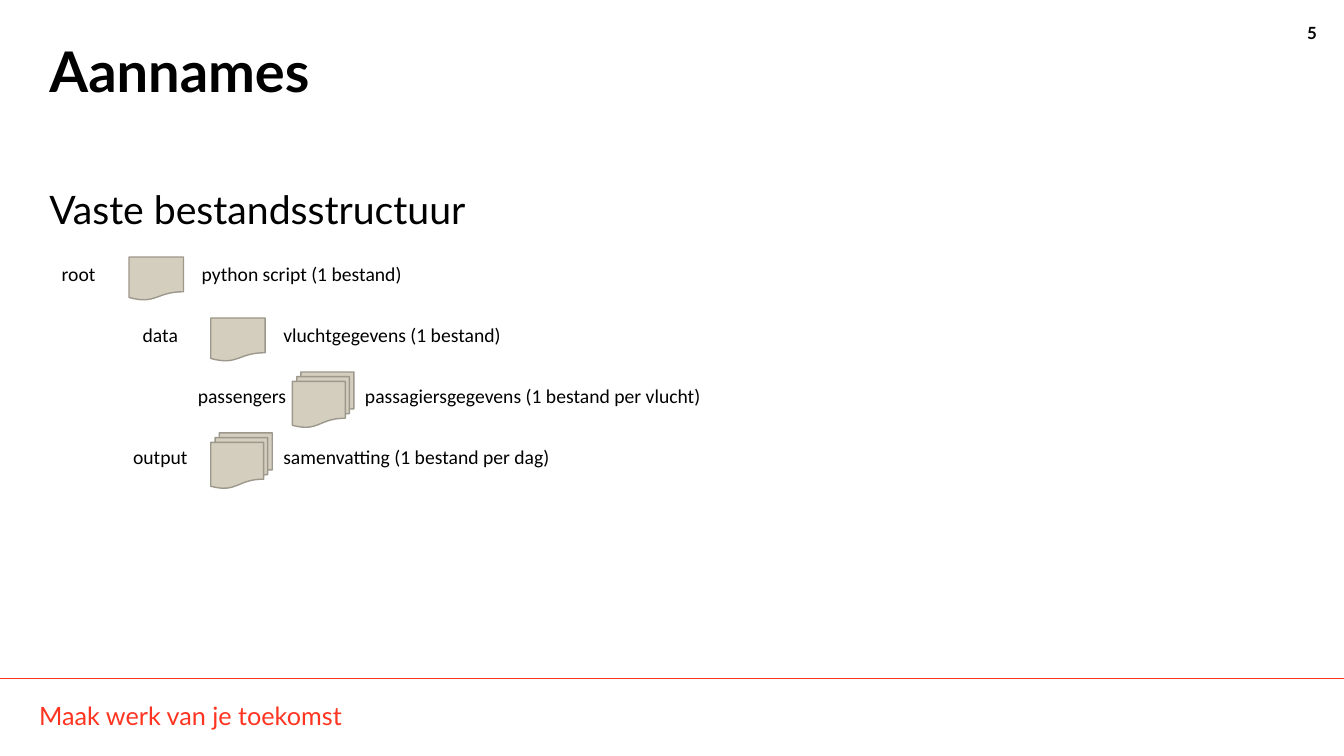
import pptx
import pptx.util
import pptx.dml.color
import pptx.enum.shapes
import pptx.enum.text
from lxml import etree

Inches = pptx.util.Inches
SHAPE = pptx.enum.shapes.MSO_SHAPE
ALIGN = pptx.enum.text.PP_ALIGN
ANCHOR = pptx.enum.text.MSO_ANCHOR

TITLE = "Aannames"
SUBTITLE = "Vaste bestandsstructuur"
FOOTER = "Maak werk van je toekomst"
PAGE = "5"
# folder, depth, several files, caption, label width, caption width
FOLDERS = [
    ("root", 0, False, "python script (1 bestand)", 0.61, 2.34),
    ("data", 1, False, "vluchtgegevens (1 bestand)", 0.61, 2.34),
    ("passengers", 2, True, "passagiersgegevens (1 bestand per vlucht)", 1, 3.74),
    ("output", 1, True, "samenvatting (1 bestand per dag)", 0.61, 3.74),
]
COLORS = {"text": "000000", "accent": "FF3521", "file": "D3CEBD", "edge": "9C988C"}

ICON_LEFT, INDENT = 1.28, 0.81
TREE_TOP, ROW_STEP = 2.55, 0.605
ROW_H = 0.34


def rgb(name):
    return pptx.dml.color.RGBColor.from_string(COLORS[name])


def write(s, text, size, font="Lato", color="text", bold=False, align=ALIGN.LEFT,
          anchor=ANCHOR.TOP, left=0.1, right=0.1, spacing=1.0):
    tf = s.text_frame
    tf.word_wrap = True
    tf.auto_size = pptx.enum.text.MSO_AUTO_SIZE.NONE
    tf.vertical_anchor = anchor
    tf.margin_left, tf.margin_right = Inches(left), Inches(right)
    tf.margin_top = tf.margin_bottom = Inches(0.05)
    p = tf.paragraphs[0]
    p.alignment, p.line_spacing = align, spacing
    r = p.add_run()
    r.text = text
    r.font.size, r.font.name, r.font.bold = pptx.util.Pt(size), font, bold
    r.font.color.rgb = rgb(color)


def add_text(slide, box, text, size, **fmt):
    write(slide.shapes.add_textbox(*map(Inches, box)), text, size, **fmt)


def add_folder(slide, row, folder):
    name, depth, several, caption, label_w, caption_w = folder
    x = ICON_LEFT + depth * INDENT
    y = TREE_TOP + row * ROW_STEP
    if several:
        kind, box = SHAPE.FLOWCHART_MULTIDOCUMENT, (x, y - 0.07, 0.61, 0.55)
    else:
        kind, box = SHAPE.FLOWCHART_DOCUMENT, (x, y, 0.54, 0.43)
    s = slide.shapes.add_shape(kind, *map(Inches, box))
    s.shadow.inherit = False
    s.fill.solid()
    s.fill.fore_color.rgb = rgb("file")
    s.line.color.rgb = rgb("edge")
    s.line.width = pptx.util.Pt(1)
    add_text(slide, (x - 0.5 - label_w / 2, y, label_w, ROW_H), name, 14,
             font="Calibri", align=ALIGN.CENTER, left=0, right=0)
    add_text(slide, (x + 0.72, y, caption_w, ROW_H), caption, 14, font="Calibri", left=0)


def main():
    prs = pptx.Presentation()
    prs.slide_width, prs.slide_height = Inches(13.33), Inches(7.5)
    slide = prs.slides.add_slide(prs.slide_layouts[5])

    title = slide.shapes.title
    title.left, title.top, title.width, title.height = map(Inches, (0.39, 0.39, 12.28, 1.45))
    write(title, TITLE, 40, bold=True, spacing=0.9)
    add_text(slide, (0.39, 1.84, 12.28, 0.6), SUBTITLE, 28, spacing=0.9)

    for row, folder in enumerate(FOLDERS):
        add_folder(slide, row, folder)

    rule = slide.shapes.add_connector(pptx.enum.shapes.MSO_CONNECTOR.STRAIGHT,
                                      0, Inches(6.73), prs.slide_width, Inches(6.73))
    rule.line.color.rgb = rgb("accent")
    rule.line.width = pptx.util.Pt(0.5)
    etree.SubElement(rule._element.spPr, pptx.oxml.ns.qn("a:effectLst"))
    add_text(slide, (0.29, 6.9, 8.5, 0.4), FOOTER, 18, color="accent", anchor=ANCHOR.MIDDLE)
    add_text(slide, (12.67, 0.18, 0.49, 0.3), PAGE, 12, bold=True, align=ALIGN.RIGHT)
    prs.save("out.pptx")


if __name__ == "__main__":
    main()
